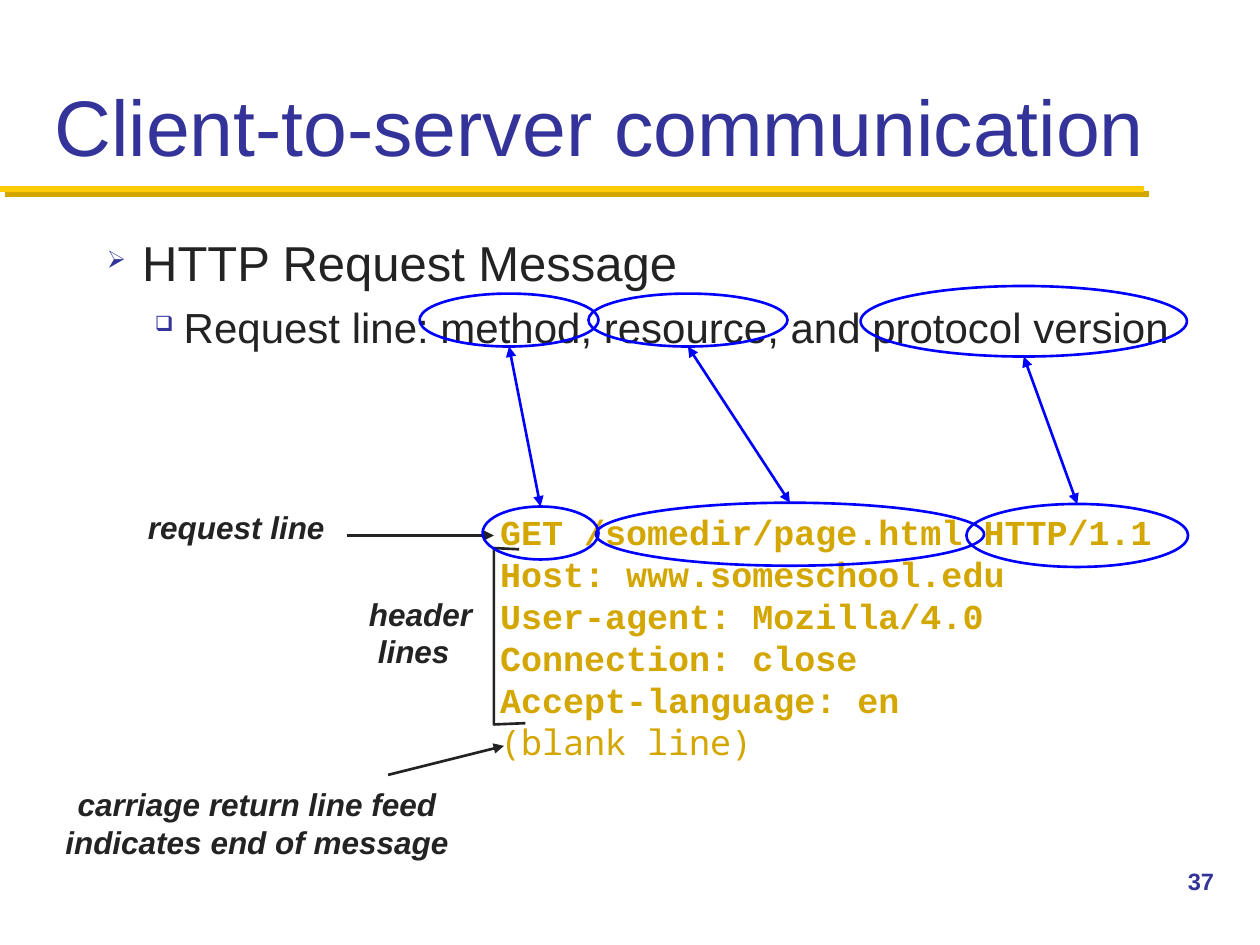
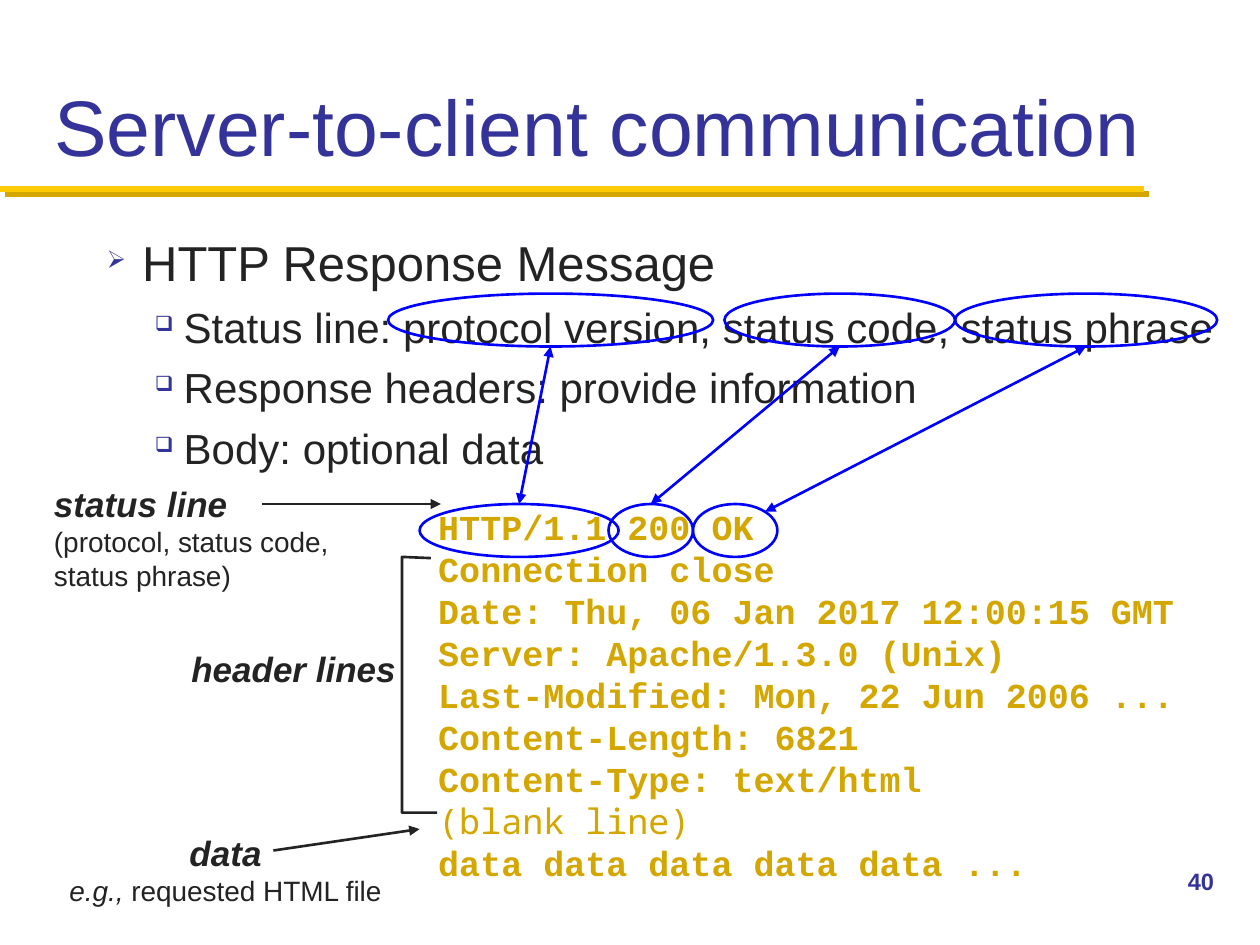
from dataclasses import dataclass, field

from lxml import etree
from pptx import Presentation
from pptx.dml.color import RGBColor
from pptx.enum.shapes import MSO_CONNECTOR, MSO_SHAPE
from pptx.enum.text import MSO_ANCHOR, MSO_AUTO_SIZE, PP_ALIGN
from pptx.oxml.ns import qn
from pptx.util import Inches, Pt

STRAIGHT = MSO_CONNECTOR.STRAIGHT
OVAL = MSO_SHAPE.OVAL
BOTTOM = MSO_ANCHOR.BOTTOM
TOP = MSO_ANCHOR.TOP
FIXED = MSO_AUTO_SIZE.NONE
LEFT = PP_ALIGN.LEFT
CENTER = PP_ALIGN.CENTER
TITLE_ONLY = 5
DIAGONAL = 0.5 ** 0.5

Point = tuple[float, float]
Box = tuple[float, float, float, float]


@dataclass(frozen=True)
class Style:
    size: float
    color: str
    font: str = "Arial"
    bold: bool = False
    ital: bool = False


@dataclass(frozen=True)
class Theme:
    ink: str = "232323"
    gold: str = "FFCB05"
    shade: str = "D3A600"
    mark: str = "0000FF"
    navy: str = "333399"
    thin: float = 1.5
    thick: float = 3.5
    title: Style = Style(45, "333399")
    page: Style = Style(13.5, "333399", bold=True)
    head: Style = Style(28, "232323")
    item: Style = Style(24, "232323")
    code: Style = Style(20, "D3A600", "Courier New", bold=True)
    blank: Style = Style(20, "D3A600", "Noto Sans Mono")
    label: Style = Style(18, "232323", bold=True, ital=True)
    large: Style = Style(20, "232323", bold=True, ital=True)
    small: Style = Style(16, "232323")


THEME = Theme()


@dataclass(frozen=True)
class Bullet:
    sign: str
    left: float
    hang: float


HEAD = Bullet("➢", 0.28, 0.28)
ITEM = Bullet("❑", 0.61, 0.23)


@dataclass(frozen=True)
class Line:
    text: str
    style: Style
    bullet: Bullet | None = None
    before: float = 0
    indent: float = 0
    lead: str = ""


@dataclass(frozen=True)
class Note:
    box: Box
    lines: list[Line]
    align: int = LEFT
    wrap: bool = True


@dataclass(frozen=True)
class Link:
    term: Box
    value: Box
    corner: bool = False


@dataclass(frozen=True)
class Page:
    number: str
    title: str
    head: str
    items: list[str]
    notes: list[Note]
    arrows: list[tuple[Point, Point]]
    brace: list[Point]
    links: list[Link] = field(default_factory=list)


def paint(font, style: Style) -> None:
    font.name = style.font
    font.size = Pt(style.size)
    font.bold = style.bold
    font.italic = style.ital
    font.color.rgb = RGBColor.from_string(style.color)


def add_bullet(props, bullet: Bullet) -> None:
    props.set("marL", str(Inches(bullet.left)))
    props.set("indent", str(-Inches(bullet.hang)))
    color = etree.SubElement(props, qn("a:buClr"))
    etree.SubElement(color, qn("a:srgbClr"), val=THEME.navy)
    etree.SubElement(props, qn("a:buSzPct"), val="50000")
    etree.SubElement(props, qn("a:buChar"), char=bullet.sign)


def write(para, line: Line, align: int) -> None:
    para.alignment = align
    if line.before:
        para.space_before = Pt(line.before)
    props = para._p.get_or_add_pPr()
    if line.indent:
        props.set("marL", str(Inches(line.indent)))
    if line.bullet:
        add_bullet(props, line.bullet)
    paint(para.font, line.style)
    if line.lead:
        lead = para.add_run()
        lead.text = line.lead
        lead.font.italic = True
    para.add_run().text = line.text


def add_note(slide, note: Note) -> None:
    frame = slide.shapes.add_textbox(*map(Inches, note.box)).text_frame
    frame.word_wrap = note.wrap
    frame.vertical_anchor = TOP
    for i, line in enumerate(note.lines):
        para = frame.add_paragraph() if i else frame.paragraphs[0]
        write(para, line, note.align)


def add_line(shapes, start: Point, end: Point, color: str, width: float,
             ends: tuple[str, ...] = ()):
    line = shapes.add_connector(STRAIGHT, *map(Inches, start + end))
    line.line.color.rgb = RGBColor.from_string(color)
    line.line.width = Pt(width)
    for name in ends:
        etree.SubElement(line.line._get_or_add_ln(), qn(name), type="triangle")
    return etree.SubElement(line._element.spPr, qn("a:effectLst"))


def add_rule(slide) -> None:
    effect = add_line(slide.shapes, (0, 1.5), (9.08, 1.5), THEME.gold, THEME.thick)
    shadow = etree.SubElement(effect, qn("a:outerShdw"), dist=str(Pt(4.2)),
                              dir="2700000", algn="ctr", rotWithShape="0")
    etree.SubElement(shadow, qn("a:srgbClr"), val=THEME.shade)


def outline(shape, color: str) -> None:
    shape.fill.background()
    shape.line.color.rgb = RGBColor.from_string(color)
    shape.line.width = Pt(THEME.thin)
    shape.shadow.inherit = False


def add_brace(slide, points: list[Point]) -> None:
    spots = [(Inches(x), Inches(y)) for x, y in points]
    build = slide.shapes.build_freeform(*spots[0])
    build.add_line_segments(spots[1:], close=False)
    outline(build.convert_to_shape(), THEME.ink)


def add_link(slide, link: Link) -> None:
    shapes = slide.shapes.add_group_shape().shapes
    for box in (link.term, link.value):
        outline(shapes.add_shape(OVAL, *map(Inches, box)), THEME.mark)
    x, y, w, h = link.term
    start = (x + w / 2, y + h)
    x, y, w, h = link.value
    end = (x + w / 2, y)
    if link.corner:
        end = (x + w / 2 * (1 + DIAGONAL), y + h / 2 * (1 - DIAGONAL))
    add_line(shapes, start, end, THEME.mark, THEME.thin, ("a:headEnd", "a:tailEnd"))


def add_title(slide, text: str) -> None:
    title = slide.shapes.title
    title.left, title.top, title.width, title.height = map(
        Inches, (0.33, 0.17, 9.33, 1.25))
    frame = title.text_frame
    frame.auto_size = FIXED
    frame.vertical_anchor = BOTTOM
    write(frame.paragraphs[0], Line(text, THEME.title), LEFT)


def add_page(deck, page: Page) -> None:
    slide = deck.slides.add_slide(deck.slide_layouts[TITLE_ONLY])
    add_rule(slide)
    add_title(slide, page.title)
    body = [Line(page.head, THEME.head, HEAD)]
    body += [Line(text, THEME.item, ITEM, 5.6) for text in page.items]
    add_note(slide, Note((0.75, 1.8, 9.08, 2.1), body))
    add_note(slide, Note((9.33, 6.83, 0.67, 0.5), [Line(page.number, THEME.page)]))
    for note in page.notes:
        add_note(slide, note)
    for start, end in page.arrows:
        add_line(slide.shapes, start, end, THEME.ink, THEME.thin, ("a:tailEnd",))
    add_brace(slide, page.brace)
    for link in page.links:
        add_link(slide, link)


def code(*texts: str) -> list[Line]:
    return [Line(text, THEME.code) for text in texts]


BLANK = Line("(blank line)", THEME.blank)

REQUEST = Page(
    "37", "Client-to-server communication", "HTTP Request Message",
    ["Request line: method, resource, and protocol version"],
    notes=[
        Note((3.87, 4, 5.42, 2.12), code(
            "GET /somedir/page.html HTTP/1.1",
            "Host: www.someschool.edu",
            "User-agent: Mozilla/4.0",
            "Connection: close",
            "Accept-language: en") + [BLANK], wrap=False),
        Note((0.25, 3.98, 3.25, 0.41), [Line("request line", THEME.label)], CENTER),
        Note((2.83, 4.67, 1.11, 0.72), [
            Line("header", THEME.label),
            Line("lines", THEME.label, indent=0.07)]),
        Note((0.33, 6.18, 3.42, 0.72), [
            Line("carriage return line feed", THEME.label),
            Line("indicates end of message", THEME.label)], CENTER),
    ],
    arrows=[((2.75, 4.25), (3.92, 4.25)), ((3.08, 6.15), (4, 5.92))],
    brace=[(4.12, 4.36), (3.92, 4.35), (3.92, 5.75), (4.17, 5.74)],
    links=[
        Link((3.33, 2.33, 1.42, 0.42), (3.83, 4.02, 0.92, 0.42)),
        Link((4.67, 2.33, 1.58, 0.42), (4.73, 3.99, 3.08, 0.5)),
        Link((6.83, 2.27, 2.59, 0.56), (7.67, 4, 1.76, 0.5)),
    ])

REPLY = Page(
    "40", "Server-to-client communication", "HTTP Response Message",
    ["Status line: protocol version, status code, status phrase",
     "Response headers: provide information",
     "Body: optional data"],
    notes=[
        Note((3.38, 3.96, 6.26, 3.13), code(
            "HTTP/1.1 200 OK",
            "Connection close",
            "Date: Thu, 06 Jan 2017 12:00:15 GMT",
            "Server: Apache/1.3.0 (Unix)",
            "Last-Modified: Mon, 22 Jun 2006 ...",
            "Content-Length: 6821",
            "Content-Type: text/html") + [BLANK] + code(
            "data data data data data ..."), wrap=False),
        Note((0.33, 3.78, 2.42, 0.98), [
            Line("status line", THEME.large),
            Line("(protocol, status code, status phrase)", THEME.small)]),
        Note((1.42, 5.09, 2.17, 0.44), [Line("header lines", THEME.large)]),
        Note((0.25, 6.55, 3.08, 0.71), [
            Line("data", THEME.large),
            Line(" requested HTML file", THEME.small, lead="e.g.,")], CENTER),
    ],
    arrows=[((2.08, 4), (3.5, 4)), ((2.17, 6.75), (3.33, 6.58))],
    brace=[(3.42, 4.43), (3.19, 4.42), (3.19, 6.45), (3.47, 6.45)],
    links=[
        Link((3.08, 2.33, 2.58, 0.42), (3.33, 4, 1.58, 0.42)),
        Link((5.75, 2.33, 1.83, 0.42), (4.83, 4, 0.67, 0.42)),
        Link((7.58, 2.33, 2.08, 0.42), (5.5, 4, 0.67, 0.42), corner=True),
    ])


def main() -> None:
    deck = Presentation()
    deck.slide_width, deck.slide_height = Inches(10), Inches(7.5)
    for page in (REQUEST, REPLY):
        add_page(deck, page)
    deck.save("out.pptx")


if __name__ == "__main__":
    main()
